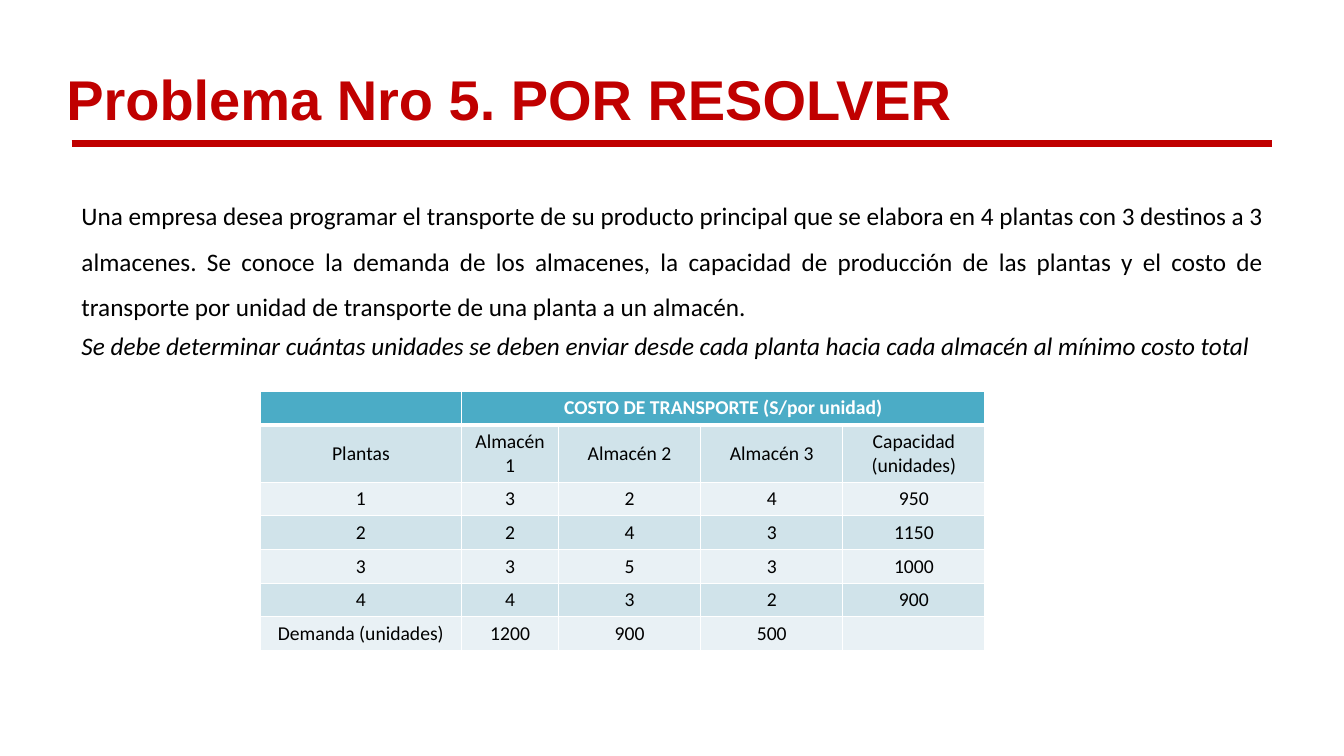
import pptx
import pptx.util
import pptx.dml.color
import pptx.enum.shapes
import pptx.enum.text
import pptx.oxml.ns
from lxml import etree

PX = 9144  # EMU per px, 100 px to the inch
COLORS = {
    "red": "C00000",
    "black": "000000",
    "white": "FFFFFF",
    "header": "4BACC6",
    "band_dark": "D0E3EA",
    "band_light": "E9F1F5",
}
ALIGN = pptx.enum.text.PP_ALIGN
MIDDLE = pptx.enum.text.MSO_ANCHOR.MIDDLE

TITLE = "Problema Nro 5. POR RESOLVER"
STATEMENT = (
    "Una empresa desea programar el transporte de su producto principal que se "
    "elabora en 4 plantas con 3 destinos a 3 almacenes. Se conoce la demanda de "
    "los almacenes, la capacidad de producción de las plantas y el costo de "
    "transporte por unidad de transporte de una planta a un almacén."
)
QUESTION = (
    "Se debe determinar cuántas unidades se deben enviar desde cada planta hacia "
    "cada almacén al mínimo costo total"
)
COSTS = [
    ["", "COSTO DE TRANSPORTE (S/por unidad)", "", "", ""],
    ["Plantas", "Almacén 1", "Almacén 2", "Almacén 3", "Capacidad (unidades)"],
    ["1", "3", "2", "4", "950"],
    ["2", "2", "4", "3", "1150"],
    ["3", "3", "5", "3", "1000"],
    ["4", "4", "3", "2", "900"],
    ["Demanda (unidades)", "1200", "900", "500", ""],
]
COL_WIDTHS = [200, 96, 141, 141, 141]
ROW_HEIGHTS = [33, 57, 33, 33, 33, 33, 33]


def px(*values):
    return [pptx.util.Emu(v * PX) for v in values]


def rgb(name):
    return pptx.dml.color.RGBColor.from_string(COLORS[name])


def format_runs(p, font, size, color, bold=False, italic=False):
    for r in p.runs:
        r.font.name = font
        r.font.size = pptx.util.Pt(size)
        r.font.color.rgb = rgb(color)
        r.font.bold = bold
        r.font.italic = italic


def add_text(s, x, y, w, h, paragraphs):
    tf = s.shapes.add_textbox(*px(x, y, w, h)).text_frame
    tf.word_wrap = True
    tf.text = "\n".join(paragraphs)
    return tf


def add_rule(s, x1, x2, y, color, width):
    line = s.shapes.add_connector(
        pptx.enum.shapes.MSO_CONNECTOR.STRAIGHT, *px(x1, y, x2, y))
    line.line.color.rgb = rgb(color)
    line.line.width = pptx.util.Pt(width)
    etree.SubElement(line._element.spPr, pptx.oxml.ns.qn("a:effectLst"))


def set_borders(cell, bottom, top):
    qn = pptx.oxml.ns.qn
    tc_pr = cell._tc.get_or_add_tcPr()
    for side, width in (("L", 1), ("R", 1), ("T", top), ("B", bottom)):
        ln = etree.SubElement(tc_pr, qn("a:ln" + side), w=str(pptx.util.Pt(width)))
        fill = etree.SubElement(ln, qn("a:solidFill"))
        etree.SubElement(fill, qn("a:srgbClr"), val=COLORS["white"])


def fill_cell(cell, text, row):
    header = row == 0
    set_borders(cell, bottom=3 if header else 1, top=3 if row == 1 else 1)
    cell.fill.solid()
    cell.fill.fore_color.rgb = rgb(
        "header" if header else "band_dark" if row % 2 else "band_light")
    if row == 1:
        cell.vertical_anchor = MIDDLE
    p = cell.text_frame.paragraphs[0]
    if text:
        p.text = text
        p.alignment = ALIGN.CENTER
        format_runs(p, "Calibri", 14, "white" if header else "black", bold=header)
    else:
        # Keeps an empty cell from growing its row
        etree.SubElement(p._p, pptx.oxml.ns.qn("a:endParaRPr"), sz="1400")


def add_cost_table(s, x, y):
    frame = s.shapes.add_table(
        len(COSTS), len(COL_WIDTHS),
        *px(x, y, sum(COL_WIDTHS), sum(ROW_HEIGHTS)))
    table = frame.table
    for column, width in zip(table.columns, px(*COL_WIDTHS)):
        column.width = width
    for row, height in zip(table.rows, px(*ROW_HEIGHTS)):
        row.height = height
    for i, values in enumerate(COSTS):
        for j, text in enumerate(values):
            fill_cell(table.cell(i, j), text, i)
    table.cell(0, 1).merge(table.cell(0, 4))


def main():
    prs = pptx.Presentation()
    prs.slide_width, prs.slide_height = px(1333, 750)
    s = prs.slides.add_slide(prs.slide_layouts[6])

    # Title and rule
    add_rule(s, 71, 1262, 142, "red", 5)
    tf = add_text(s, 56, 66, 1003, 63, [TITLE])
    tf.vertical_anchor = MIDDLE
    format_runs(tf.paragraphs[0], "Arial", 40, "red", bold=True)

    # Problem statement
    tf = add_text(s, 71, 179, 1192, 185, [STATEMENT, QUESTION])
    statement, question = tf.paragraphs
    for p in tf.paragraphs:
        p.alignment = ALIGN.JUSTIFY
        p.space_after = pptx.util.Pt(6)
    statement.line_spacing = 1.5
    format_runs(statement, "Calibri", 18, "black")
    format_runs(question, "Calibri", 18, "black", italic=True)

    # Transport costs
    add_cost_table(s, 258, 388)

    prs.save("out.pptx")


if __name__ == "__main__":
    main()
